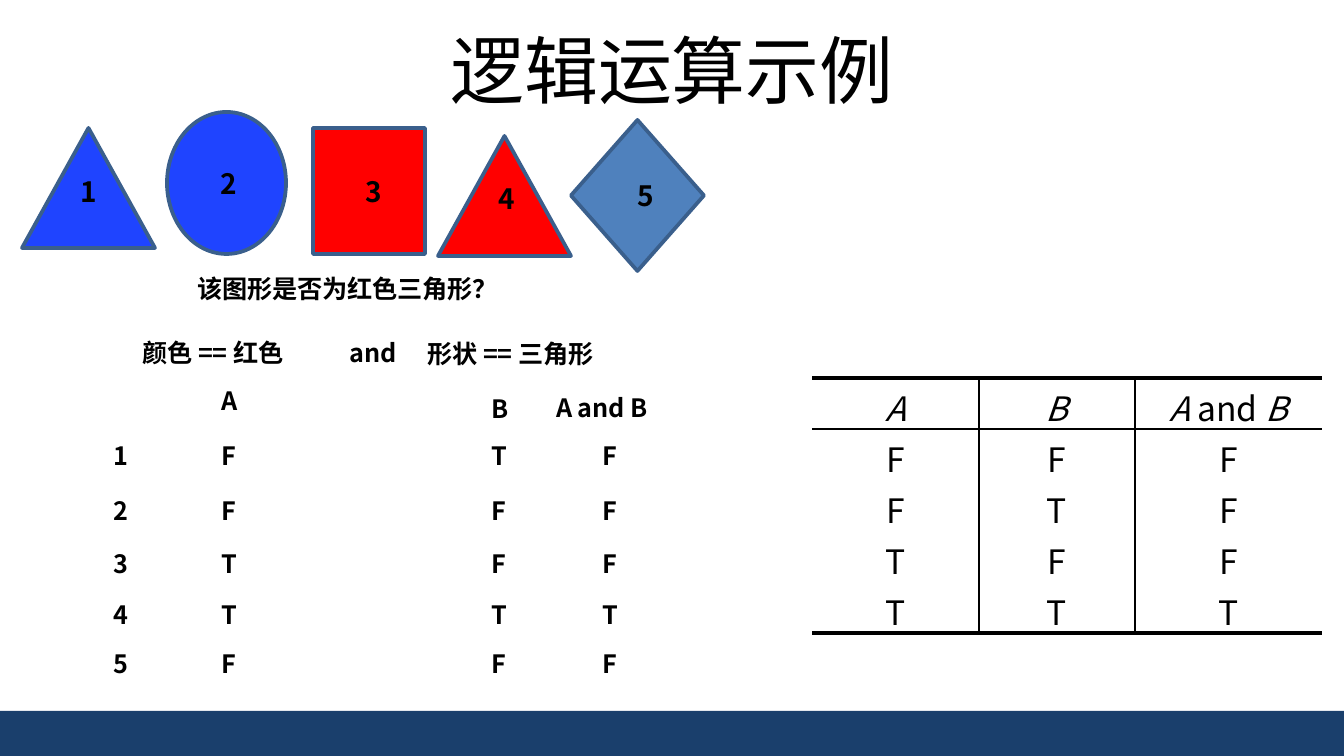
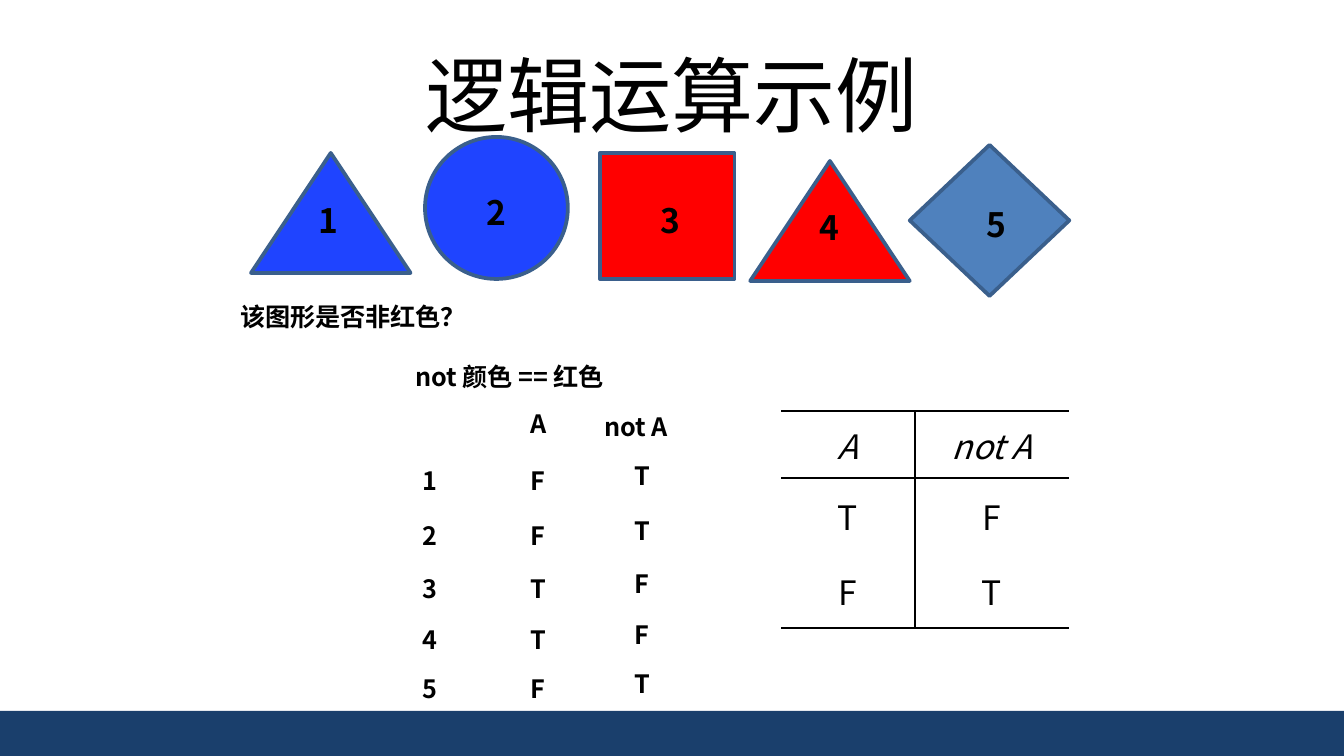
import pptx
import pptx.dml.color
import pptx.enum.shapes
import pptx.enum.text
import pptx.oxml
import pptx.oxml.ns
import pptx.util
from dataclasses import dataclass

SHAPE = pptx.enum.shapes.MSO_SHAPE
ALIGN = pptx.enum.text.PP_ALIGN
ANCHOR = pptx.enum.text.MSO_ANCHOR
AUTO = pptx.enum.text.MSO_AUTO_SIZE
qn = pptx.oxml.ns.qn


@dataclass(frozen=True)
class Theme:
    font: str = "Noto Sans CJK SC"
    ink: str = "000000"
    band: str = "1A3F6C"
    outline: str = "3A5F8C"
    blue: str = "1F44FF"
    red: str = "FF0000"
    steel: str = "4F81BD"
    body: float = 13.5
    table: float = 18
    outline_width: float = 2


THEME = Theme()
WIDTH, HEIGHT = 1344, 756
BAND_TOP = 711
TITLE = "逻辑运算示例"
LINE_H = 44
ROW_OFFSETS = (0, 55, 108, 159, 208)

FIGURES = [
    (SHAPE.ISOSCELES_TRIANGLE, THEME.blue, (0, 128, 133, 120), (45, 168)),
    (SHAPE.OVAL, THEME.blue, (145, 112, 119, 142), (185, 160)),
    (SHAPE.RECTANGLE, THEME.red, (291, 128, 112, 126), (330, 168)),
    (SHAPE.ISOSCELES_TRIANGLE, THEME.red, (416, 136, 133, 120), (463, 175)),
    (SHAPE.DIAMOND, THEME.steel, (549, 120, 133, 151), (602, 172)),
]

SLIDES = [
    dict(
        title=dict(box=(67, 31, 1210, 75), size=39.6),
        figures=dict(left=22, dy=0, stretch=1, size=15, label=(40, 47)),
        texts=[
            [("该图形是否为红色三角形？", 184, 267, 524)],
            [("颜色 == 红色", 129, 331, 254), ("A", 208, 379, 40)],
            [("形状 == 三角形", 414, 332, 374), ("B", 478, 387, 40)],
            [("and", 336, 331, 95)],
            [("A and B", 543, 386, 146)],
        ],
        numbers_left=97,
        rows_top=434,
        answers=[("FFTTF", 208, 0), ("TFFTF", 478, 0), ("FFFTF", 589, 0)],
        table=dict(
            at=(812, 378), cols=(167, 156, 187), rows=(51,) * 5, edge=2.25,
            anchor=ANCHOR.TOP,
            header=[[("A", True)], [("B", True)],
                    [("A ", True), ("and ", False), ("B", True)]],
            values=["FFF", "FTF", "TFF", "TTT"],
        ),
    ),
    dict(
        title=dict(box=(67, 31, 1210, 126), size=44),
        figures=dict(left=251, dy=25, stretch=1.2, size=18, label=(47, 54)),
        texts=[
            [("该图形是否非红色？", 227, 295, 524)],
            [("not 颜色 == 红色", 402, 355, 333), ("A", 517, 402, 40)],
            [("not A", 591, 405, 132)],
        ],
        numbers_left=406,
        rows_top=459,
        answers=[("FFTTF", 517, 0), ("TTFFT", 621, -5)],
        table=dict(
            at=(781, 411), cols=(134, 154), rows=(67, 75, 75), edge=1,
            anchor=ANCHOR.MIDDLE,
            header=[[("A", True)], [("not A", True)]],
            values=["TF", "FT"],
        ),
    ),
]


def px(n):
    return round(n * 914400 / 134.4)


def rgb(color):
    return pptx.dml.color.RGBColor.from_string(color)


def write(tf, runs, size, bold=False, align=ALIGN.LEFT):
    p = tf.paragraphs[0]
    p.alignment = align
    p.font.size = pptx.util.Pt(size)
    p.font.bold = bold
    p.font.color.rgb = rgb(THEME.ink)
    p.font.name = THEME.font
    pptx.oxml.ns  
    ea = pptx.oxml.parse_xml(
        f'<a:ea {pptx.oxml.ns.nsdecls("a")} typeface="{THEME.font}"/>')
    p._p.pPr.find(qn("a:defRPr")).append(ea)
    for text, italic in runs:
        r = p.add_run()
        r.text = text
        if italic:
            r.font.italic = True


def add_text(shapes, text, box, size, bold=True, align=ALIGN.LEFT):
    sp = shapes.add_textbox(*map(px, box))
    tf = sp.text_frame
    tf.word_wrap = True
    tf.auto_size = AUTO.SHAPE_TO_FIT_TEXT
    write(tf, [(text, False)], size, bold, align)
    return sp


def add_figure(shapes, kind, box, fill, line=None):
    sp = shapes.add_shape(kind, *map(px, box))
    sp.shadow.inherit = False
    sp.fill.solid()
    sp.fill.fore_color.rgb = rgb(fill)
    if line:
        sp.line.color.rgb = rgb(line)
        sp.line.width = pptx.util.Pt(THEME.outline_width)
    else:
        sp.line.fill.background()


def add_figures(s, left, dy, stretch, size, label):
    group = s.shapes.add_group_shape()
    for number, (kind, fill, (x, y, w, h), (lx, ly)) in enumerate(FIGURES, 1):
        box = (left + x * stretch, y + dy, w * stretch, h)
        add_figure(group.shapes, kind, box, fill, THEME.outline)
        add_text(group.shapes, str(number),
                 (left + lx * stretch, ly + dy, *label), size)


def add_answers(s, numbers_left, top, answers):
    for i, offset in enumerate(ROW_OFFSETS):
        y = top + offset
        add_text(s.shapes, str(i + 1), (numbers_left, y, 47, LINE_H),
                 THEME.body, align=ALIGN.CENTER)
        for values, left, dy in answers:
            add_text(s.shapes, values[i], (left, y + dy, 63, LINE_H), THEME.body)


def set_borders(cell, widths):
    tcPr = cell._tc.get_or_add_tcPr()
    for i, (side, width) in enumerate(widths.items()):
        fill = (f'<a:solidFill><a:srgbClr val="{THEME.ink}"/></a:solidFill>'
                if width else "<a:noFill/>")
        tcPr.insert(i, pptx.oxml.parse_xml(
            f'<a:ln{side} {pptx.oxml.ns.nsdecls("a")} '
            f'w="{round(width * 12700)}">{fill}</a:ln{side}>'))


def add_truth_table(s, at, cols, rows, edge, anchor, header, values):
    frame = s.shapes.add_table(len(rows), len(cols), *map(px, at),
                               px(sum(cols)), px(sum(rows)))
    table = frame.table
    table.first_row = table.horz_banding = False
    for col, w in zip(table.columns, cols):
        col.width = px(w)
    for row, h in zip(table.rows, rows):
        row.height = px(h)
    content = [header] + [[[(v, False)] for v in line] for line in values]
    rules = [edge, 1] + [0] * (len(rows) - 2) + [edge]
    for i, line in enumerate(content):
        for j, runs in enumerate(line):
            cell = table.cell(i, j)
            cell.fill.background()
            cell.vertical_anchor = anchor
            cell.margin_left = cell.margin_right = px(9)
            cell.margin_top = cell.margin_bottom = px(5)
            write(cell.text_frame, runs, THEME.table, align=ALIGN.CENTER)
            set_borders(cell, {"L": int(j > 0), "R": int(j < len(cols) - 1),
                               "T": rules[i], "B": rules[i + 1]})


def add_title(s, box, size):
    sp = add_text(s.shapes, TITLE, box, size, bold=False, align=ALIGN.CENTER)
    sp.text_frame.auto_size = AUTO.NONE
    sp.text_frame.vertical_anchor = ANCHOR.MIDDLE


def build_slide(prs, data):
    s = prs.slides.add_slide(prs.slide_layouts[6])
    add_figure(s.shapes, SHAPE.RECTANGLE,
               (0, BAND_TOP, WIDTH, HEIGHT - BAND_TOP), THEME.band)
    add_figures(s, **data["figures"])
    for block in data["texts"]:
        shapes = s.shapes.add_group_shape().shapes if len(block) > 1 else s.shapes
        for text, x, y, w in block:
            add_text(shapes, text, (x, y, w, LINE_H), THEME.body)
    add_answers(s, data["numbers_left"], data["rows_top"], data["answers"])
    add_title(s, **data["title"])
    add_truth_table(s, **data["table"])


def main():
    prs = pptx.Presentation()
    prs.slide_width, prs.slide_height = px(WIDTH), px(HEIGHT)
    for data in SLIDES:
        build_slide(prs, data)
    prs.save("out.pptx")


if __name__ == "__main__":
    main()
